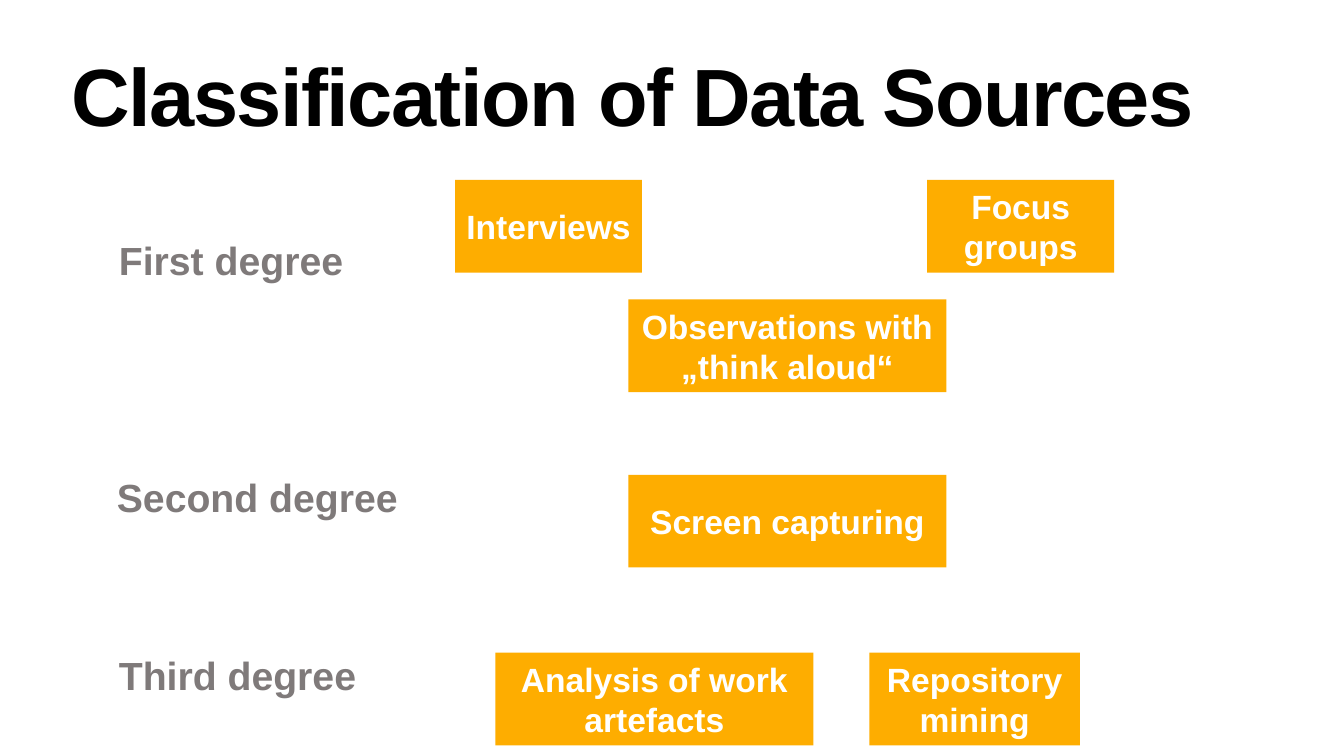
from pptx import Presentation
from pptx.dml.color import RGBColor
from pptx.enum.shapes import MSO_SHAPE
from pptx.enum.text import MSO_ANCHOR, MSO_AUTO_SIZE, PP_ALIGN
from pptx.util import Inches, Pt

FONT = "Arial"
BLACK, WHITE, GRAY, ORANGE = "000000", "FFFFFF", "7F7A7A", "FEAD00"

BOX_HEIGHT = 1.84
NARROW, MEDIUM, WIDE = 3.71, 4.18, 6.31

# Text, left, top, width
SOURCES = [
    ("Interviews", 9.03, 3.57, NARROW),
    ("Focus groups", 18.4, 3.57, NARROW),
    ("Observations with „think aloud“", 12.47, 5.94, WIDE),
    ("Screen capturing", 12.47, 9.42, WIDE),
    ("Analysis of work artefacts", 9.83, 12.95, WIDE),
    ("Repository mining", 17.25, 12.95, MEDIUM),
]
DEGREES = [
    ("First degree", 2.3, 4.71, 4.58),
    ("Second degree", 2.26, 9.42, 5.7),
    ("Third degree", 2.3, 12.95, 4.84),
]


def color(value):
    return RGBColor.from_string(value)


def set_text(shape, text, size, text_color, margin, **paragraph_format):
    frame = shape.text_frame
    for side in ("left", "top", "right", "bottom"):
        setattr(frame, f"margin_{side}", Inches(margin))
    paragraph = frame.paragraphs[0]
    for name, value in paragraph_format.items():
        setattr(paragraph, name, value)
    run = paragraph.add_run()
    run.text = text
    font_format = {"name": FONT, "size": Pt(size), "bold": True}
    for name, value in font_format.items():
        setattr(run.font, name, value)
    run.font.color.rgb = color(text_color)
    return run


def add_title(slide, text):
    title = slide.shapes.title
    title.left, title.top = Inches(1.32), Inches(1.18)
    title.width, title.height = Inches(22.87), Inches(2.28)
    title.text_frame.vertical_anchor = MSO_ANCHOR.TOP
    title.text_frame.auto_size = MSO_AUTO_SIZE.NONE
    run = set_text(title, text, 116, BLACK, 0.1,
                   alignment=PP_ALIGN.LEFT, line_spacing=0.8, space_before=Pt(0))
    # Tighter letter spacing, in hundredths of a point
    run.font._element.set("spc", "-230")


def add_source(slide, text, left, top, width):
    shape = slide.shapes.add_shape(
        MSO_SHAPE.RECTANGLE, Inches(left), Inches(top), Inches(width), Inches(BOX_HEIGHT))
    shape.shadow.inherit = False
    shape.fill.solid()
    shape.fill.fore_color.rgb = color(ORANGE)
    shape.line.fill.background()
    shape.text_frame.word_wrap = True
    shape.text_frame.vertical_anchor = MSO_ANCHOR.MIDDLE
    set_text(shape, text, 48, WHITE, 0.06, alignment=PP_ALIGN.CENTER)


def add_degree(slide, text, left, top, width):
    label = slide.shapes.add_textbox(Inches(left), Inches(top), Inches(width), Inches(0.99))
    label.text_frame.word_wrap = False
    label.text_frame.auto_size = MSO_AUTO_SIZE.SHAPE_TO_FIT_TEXT
    label.text_frame.vertical_anchor = MSO_ANCHOR.MIDDLE
    set_text(label, text, 56, GRAY, 0.06, line_spacing=0.9)


def main():
    presentation = Presentation()
    presentation.slide_width, presentation.slide_height = Inches(26.67), Inches(15)
    slide = presentation.slides.add_slide(presentation.slide_layouts[5])

    add_title(slide, "Classification of Data Sources")
    # Data sources, grouped by degree from top to bottom
    for source in SOURCES:
        add_source(slide, *source)
    # Degree labels on the left
    for degree in DEGREES:
        add_degree(slide, *degree)

    presentation.save("out.pptx")


if __name__ == "__main__":
    main()
